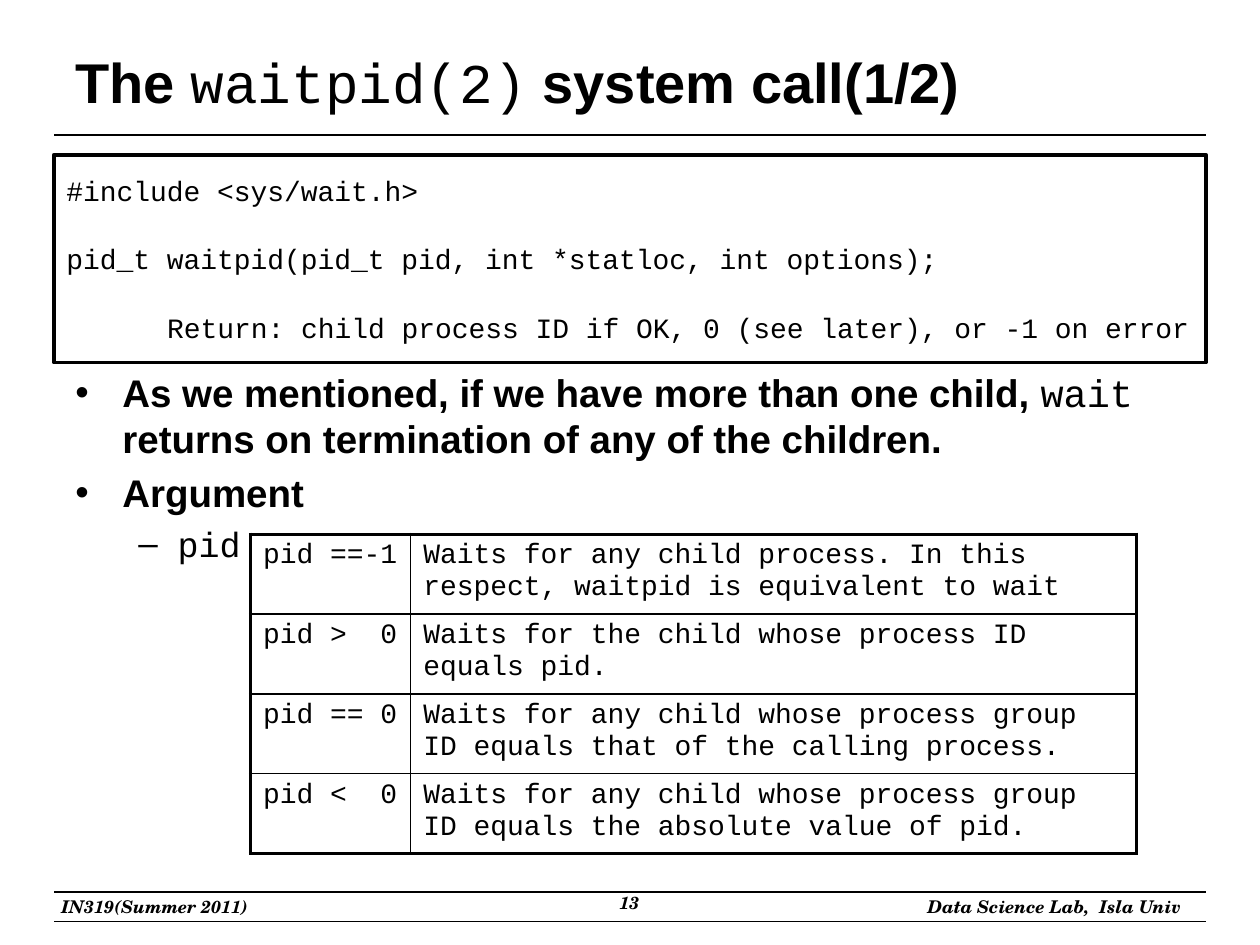
from lxml import etree
from pptx import Presentation
from pptx import util as u
from pptx.dml import color
from pptx.enum import shapes, text
from pptx.oxml import ns

COLORS = {"ink": "000000", "paper": "FFFFFF"}
SANS, MONO, SERIF = "Arial", "Courier New", "TeX Gyre Schola"
THIN, THICK = 1, 2.25


def rgb(name):
    return color.RGBColor.from_string(COLORS[name])


def add_xml(parent, tag, **attributes):
    return etree.SubElement(parent, ns.qn(tag), attributes)


class SlideBuilder:
    """Holds the style and the current slide."""

    def __init__(self, page):
        self.page = page

    def style(self, span, font, size, bold=False, italic=False):
        span.font.name, span.font.size = font, u.Pt(size)
        span.font.bold, span.font.italic = bold, italic
        span.font.color.rgb = rgb("ink")

    def mixed(self, para, parts, size):
        """Fill a paragraph with (wording, font) parts; sans parts are bold."""
        for wording, font in parts:
            span = para.add_run()
            span.text = wording
            self.style(span, font, size, bold=font == SANS)

    def frame(self, left, top, width, height, wrap=True):
        box = self.page.shapes.add_textbox(
            u.Cm(left), u.Cm(top), u.Cm(width), u.Cm(height))
        box.text_frame.word_wrap = wrap
        return box.text_frame

    def rule(self, y):
        line = self.page.shapes.add_connector(
            shapes.MSO_CONNECTOR.STRAIGHT, u.Cm(1.09), u.Cm(y), u.Cm(24.31), u.Cm(y))
        line.line.color.rgb, line.line.width = rgb("ink"), u.Pt(0.75)
        add_xml(line._element.spPr, "a:effectLst")

    def title(self, parts):
        frame = self.frame(1.27, 0.76, 22.86, 1.75)
        frame.vertical_anchor = text.MSO_ANCHOR.MIDDLE
        self.mixed(frame.paragraphs[0], parts, 32)

    def footer(self, wording, left, top, width, height, align, wrap=False):
        frame = self.frame(left, top, width, height, wrap)
        frame.text = wording
        para = frame.paragraphs[0]
        para.alignment = align
        self.style(para.runs[0], SERIF, 10, bold=True, italic=True)

    def code_box(self, lines, last_indent):
        box = self.page.shapes.add_shape(
            shapes.MSO_SHAPE.RECTANGLE, u.Cm(1.09), u.Cm(3.12), u.Cm(23.22), u.Cm(4.19))
        box.shadow.inherit = False
        box.fill.solid()
        box.fill.fore_color.rgb = rgb("paper")
        box.line.color.rgb, box.line.width = rgb("ink"), u.Pt(THICK)
        frame = box.text_frame
        frame.word_wrap, frame.margin_right = True, 0
        frame.vertical_anchor = text.MSO_ANCHOR.MIDDLE
        frame.text = "\n".join(lines)
        for index, para in enumerate(frame.paragraphs):
            para.alignment = text.PP_ALIGN.LEFT
            para.space_before = u.Pt(20 if index else 0)
            self.style(para.runs[0], MONO, 16)
        para._p.get_or_add_pPr().set("marL", str(u.Cm(last_indent)))

    def bullets(self, items):
        """Each item is (bullet, left margin, hanging indent, size, parts)."""
        frame = self.frame(1.27, 7.32, 24.13, 10.59)
        for index, (bullet, margin, hang, size, parts) in enumerate(items):
            para = frame.add_paragraph() if index else frame.paragraphs[0]
            self.mixed(para, parts, size)
            para.space_before = u.Pt(size * 0.2)
            props = para._p.get_or_add_pPr()
            props.set("marL", str(u.Cm(margin)))
            props.set("indent", str(-u.Cm(hang)))
            add_xml(props, "a:buFont", typeface=SANS)
            add_xml(props, "a:buChar", char=bullet)

    def borders(self, cell, widths):
        """Draw left, right, top and bottom borders, ahead of the cell's fill."""
        props = cell._tc.get_or_add_tcPr()
        for index, (side, width) in enumerate(zip("LRTB", widths)):
            line = add_xml(props, "a:ln" + side, w=str(u.Pt(width)))
            add_xml(add_xml(line, "a:solidFill"), "a:srgbClr", val=COLORS["ink"])
            props.insert(index, line)

    def table(self, rows, columns, left, top, row_height):
        table = self.page.shapes.add_table(
            len(rows), len(columns), u.Cm(left), u.Cm(top),
            u.Cm(sum(columns)), u.Cm(row_height * len(rows))).table
        table.first_row = table.horz_banding = False
        for column, width in zip(table.columns, columns):
            column.width = u.Cm(width)
        last_row, last_column = len(rows) - 1, len(columns) - 1
        for r, row in enumerate(rows):
            for c, wording in enumerate(row):
                cell = table.cell(r, c)
                cell.fill.background()
                cell.text = wording
                self.style(cell.text_frame.paragraphs[0].runs[0], MONO, 16)
                outer = (c == 0, c == last_column, r == 0, r == last_row)
                self.borders(cell, [THICK if edge else THIN for edge in outer])


def main():
    deck = Presentation()
    deck.slide_width, deck.slide_height = u.Cm(25.4), u.Cm(19.05)
    slide = SlideBuilder(deck.slides.add_slide(deck.slide_layouts[6]))

    # Rules and footer
    for y in (2.72, 17.98, 18.57):
        slide.rule(y)
    slide.footer("IN319(Summer 2011)", 0.99, 17.93, 4.39, 0.69, text.PP_ALIGN.LEFT)
    slide.footer("Data Science Lab,  Isla Univ", 18.19, 17.93, 5.87, 0.69,
                 text.PP_ALIGN.RIGHT)
    slide.footer("13", 9.73, 17.86, 5.92, 0.79, text.PP_ALIGN.CENTER, wrap=True)

    # Title
    slide.title([("The ", SANS), ("waitpid(2)", MONO), (" system call(1/2)", SANS)])

    # Explanation
    slide.bullets([
        ("•", 0.95, 0.95, 22, [
            ("As we mentioned, if we have more than one child, ", SANS),
            ("wait", MONO),
            (" returns on termination of any of the children.", SANS)]),
        ("•", 0.95, 0.95, 22, [("Argument", SANS)]),
        ("–", 2.06, 0.79, 20, [("pid", MONO)]),
    ])

    # Function prototype
    slide.code_box([
        "#include <sys/wait.h>",
        "pid_t waitpid(pid_t pid, int *statloc, int options);",
        "Return: child process ID if OK, 0 (see later), or -1 on error",
    ], last_indent=2.03)

    # Meaning of the pid argument
    slide.table([
        ("pid ==-1", "Waits for any child process. In this respect, "
                     "waitpid is equivalent to wait"),
        ("pid >  0", "Waits for the child whose process ID equals pid."),
        ("pid == 0", "Waits for any child whose process group ID equals "
                     "that of the calling process."),
        ("pid <  0", "Waits for any child whose process group ID equals "
                     "the absolute value of pid."),
    ], columns=(3.23, 14.63), left=5.05, top=10.77, row_height=1.53)

    deck.save("out.pptx")


if __name__ == "__main__":
    main()
